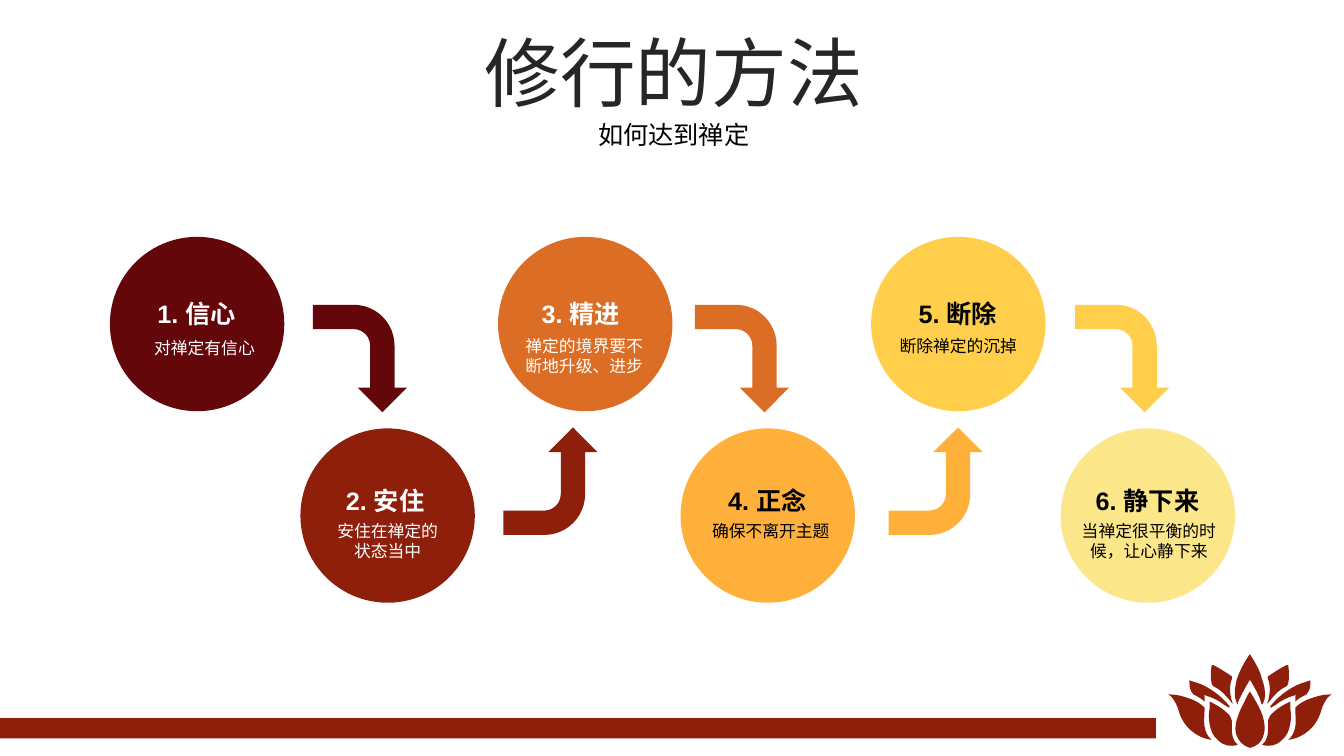
from lxml import etree
from pptx import Presentation, util as u
from pptx.dml.color import RGBColor
from pptx.enum import shapes as s, text as t
from pptx.oxml import ns

W, H = 13.33, 7.5
RUST, WHITE, BLACK = "8E1F0B", "FFFFFF", "000000"
SIZE = 1.73              # circle diameter
ROWS = (2.35, 4.25)      # circle tops, upper and lower row

# Circle left, fill, ink, head, note, note width, head and note shift
STEPS = [
    (1.09, "63070A", WHITE, "1. 信心", "对禅定有信心", 1.25, 0, 0.1),
    (2.98, RUST, WHITE, "2. 安住", "安住在禅定的状态当中", 1.25, -0.02, 0),
    (4.94, "DB6D25", WHITE, "3. 精进", "禅定的境界要不断地升级、进步", 1.37, -0.04, -0.01),
    (6.75, "FFB03B", BLACK, "4. 正念", "确保不离开主题", 1.45, 0, 0.03),
    (8.64, "FFCE4B", BLACK, "5. 断除", "断除禅定的沉掉", 1.45, 0, 0),
    (10.52, "FCE68A", BLACK, "6. 静下来", "当禅定很平衡的时候，让心静下来", 1.55, 0, 0.01),
]
BENDS = (3.04, 4.93, 6.83, 8.75, 10.6)   # arrow lefts

# Petals in hundredths of an inch from the flower's top centre:
# a start point, then three points for each curve
SIDES = [
    [40, 47, 40, 49, 40, 51, 40, 54, 41, 59, 41, 64, 40, 69,
     39, 75, 37, 81, 32, 85, 26, 91, 20, 92, 12, 90,
     17, 86, 18, 80, 18, 74, 18, 71, 18, 69, 18, 66,
     18, 65, 18, 64, 19, 63, 20, 61, 21, 59, 23, 58, 28, 53, 34, 50, 40, 47],
    [81, 40, 77, 42, 75, 46, 73, 50, 72, 51, 72, 53, 71, 55,
     67, 71, 54, 83, 38, 85, 42, 82, 44, 77, 45, 72,
     46, 66, 45, 61, 45, 55, 45, 54, 45, 54, 45, 53,
     49, 49, 54, 46, 60, 44, 66, 42, 72, 40, 79, 40],
    [60, 26, 60, 29, 60, 33, 59, 35, 59, 37, 57, 38, 56, 40,
     52, 42, 48, 44, 45, 47, 45, 46, 45, 44, 45, 42,
     46, 40, 46, 40, 44, 41, 37, 43, 31, 46, 26, 50,
     24, 51, 23, 52, 21, 53, 20, 53, 20, 53, 20, 52,
     27, 43, 36, 36, 46, 31, 50, 29, 54, 28, 60, 26],
    [38, 11, 39, 18, 39, 24, 38, 29, 38, 30, 37, 31, 36, 32,
     29, 35, 24, 41, 19, 47, 19, 48, 18, 48, 17, 49,
     18, 46, 19, 44, 19, 42, 20, 37, 20, 33, 19, 28,
     19, 27, 19, 26, 18, 25, 17, 24, 18, 23, 18, 22,
     24, 18, 30, 14, 36, 11],
]
CORE = [
    [0, 37, 6, 47, 12, 56, 14, 67, 15, 72, 15, 77, 13, 82,
     11, 88, 7, 91, 0, 93, -7, 91, -12, 86, -14, 78,
     -15, 73, -14, 67, -12, 62, -10, 55, -6, 49, -3, 42, -2, 40, -1, 39, 0, 37],
    [0, 0, 5, 8, 10, 16, 12, 25, 14, 30, 15, 35, 15, 41,
     15, 44, 14, 46, 13, 49, 13, 50, 13, 50, 12, 50,
     12, 49, 12, 49, 11, 48, 9, 40, 5, 34, 1, 27,
     0, 25, 0, 25, -1, 27, -5, 34, -9, 41, -12, 48,
     -12, 49, -12, 50, -12, 50, -14, 47, -15, 43, -15, 39,
     -15, 34, -14, 29, -13, 25, -11, 18, -4, 5, 0, 0],
]


def rgb(code):
    return RGBColor.from_string(code)


def paint(shape, fill, line=None):
    shape.shadow.inherit = False
    shape.fill.solid()
    shape.fill.fore_color.rgb = rgb(fill)
    if line:
        shape.line.color.rgb = rgb(line)
        shape.line.width = u.Pt(1)
    else:
        shape.line.fill.background()
    return shape


def draw(slide, kind, box, fill, line=None):
    shape = slide.shapes.add_shape(kind, *map(u.Inches, box))
    return paint(shape, fill, line)


def write(frame, words, size=12, ink=BLACK, bold=False,
          align=t.PP_ALIGN.CENTER, space=None):
    frame.word_wrap = True
    para = frame.paragraphs[0]
    para.alignment = align
    para.line_spacing = space
    run = para.add_run()
    run.text = words
    run.font.name = "Arial"
    run.font.size = u.Pt(size)
    run.font.bold = bold
    run.font.color.rgb = rgb(ink)


def label(slide, box, words, **form):
    frame = slide.shapes.add_textbox(*map(u.Inches, box)).text_frame
    frame.auto_size = t.MSO_AUTO_SIZE.SHAPE_TO_FIT_TEXT
    write(frame, words, **form)


def curve(shape):
    """Join each three straight steps into one Bezier curve."""
    lines = list(shape._element.iter(ns.qn("a:lnTo")))
    for i in range(0, len(lines), 3):
        arc = etree.Element(ns.qn("a:cubicBezTo"))
        lines[i].addprevious(arc)
        for line in lines[i:i + 3]:
            arc.append(line[0])
            line.getparent().remove(line)


def lotus(slide, mid, top):
    petals = [list(zip(p[::2], p[1::2])) for p in CORE + SIDES]
    petals += [[(-x, y) for x, y in p] for p in petals[len(CORE):]]
    build = None
    for petal in petals:
        dots = [(u.Inches(mid + x / 100), u.Inches(top + y / 100)) for x, y in petal]
        if build is None:
            build = slide.shapes.build_freeform(*dots[0], scale=1.0)
        else:
            build.move_to(*dots[0])
        build.add_line_segments(dots[1:], close=True)
    flower = paint(build.convert_to_shape(), RUST)
    curve(flower)


def footer(slide):
    draw(slide, s.MSO_SHAPE.RECTANGLE, (0, 0.95 * H, 0.86 * W, 0.2), RUST)
    lotus(slide, 0.93 * W, 6.49)


def header(slide, box):
    left, top, wide, high = box
    title = slide.shapes.title
    title.left, title.top, title.width, title.height = map(u.Inches, box)
    title.text_frame.auto_size = t.MSO_AUTO_SIZE.NONE
    title.text_frame.vertical_anchor = t.MSO_ANCHOR.MIDDLE
    write(title.text_frame, "修行的方法", size=54, ink="262626", space=0.9)
    label(slide, (left + 0.2 * wide, top + high - 0.03, 0.6 * wide, 0.4),
          "如何达到禅定", size=18)


def step(slide, box, low, fill, ink, head, note, wide, slide_head, slide_note):
    left, top, size, _ = box
    mid = left + size / 2
    draw(slide, s.MSO_SHAPE.OVAL, box, fill)
    label(slide, (mid + slide_head - 0.83, top + (0.52 if low else 0.56), 1.65, 0.4),
          head, size=18, ink=ink, bold=True)
    # A shifted one-line note starts at the left of its box
    first = slide_note >= 0.1
    drop = 0.95 if first else 0.87 if low else 0.93
    label(slide, (mid + slide_note - wide / 2, top + drop, wide,
                  0.5 if len(note) > 7 else 0.3), note, ink=ink,
          align=t.PP_ALIGN.LEFT if first else t.PP_ALIGN.CENTER)


def bend(slide, left, rise, fill):
    box = (left, 4.32 if rise else 3.1, 1.05, 0.91)
    arrow = draw(slide, s.MSO_SHAPE.BENT_ARROW, box, fill, fill)
    arrow.rotation = 90 if rise else 270
    frame = arrow._element.spPr.xfrm
    frame.set("flipH", "1")
    if not rise:
        frame.set("flipV", "1")
    # Sharp corners
    etree.SubElement(arrow.line._get_or_add_ln(), ns.qn("a:miter"), lim="800000")


def main():
    deck = Presentation()
    deck.slide_width, deck.slide_height = u.Inches(W), u.Inches(H)
    slide = deck.slides.add_slide(deck.slide_layouts[5])
    footer(slide)
    header(slide, (0.35, 0.37, 0.95 * W, 0.79))
    for i, (left, *rest) in enumerate(STEPS):
        step(slide, (left, ROWS[i % 2], SIZE, SIZE), i % 2, *rest)
    for i, left in enumerate(BENDS):
        bend(slide, left, i % 2, STEPS[i][1])
    deck.save("out.pptx")


if __name__ == "__main__":
    main()
